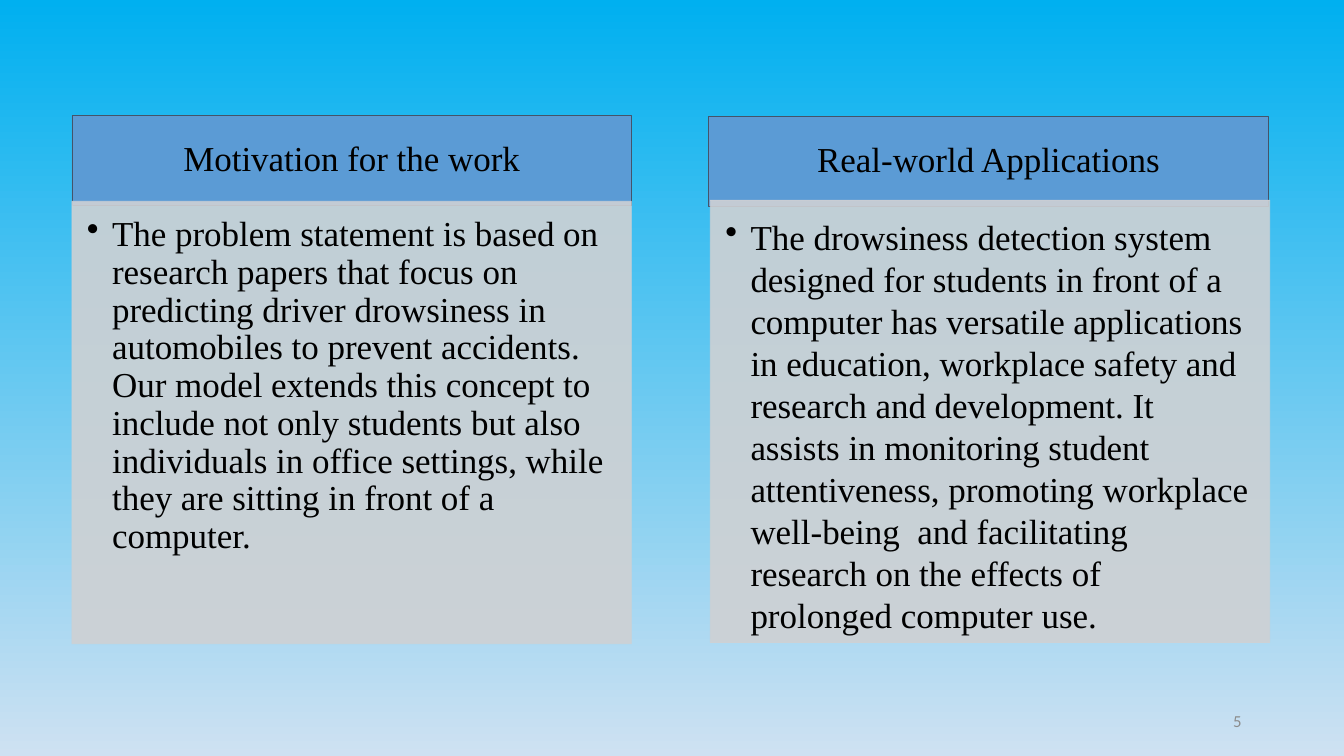
from pptx import Presentation
from pptx.dml.color import RGBColor
from pptx.enum.shapes import MSO_SHAPE
from pptx.enum.text import MSO_ANCHOR, PP_ALIGN
from pptx.oxml.ns import qn
from pptx.util import Pt
from lxml import etree

RECT = MSO_SHAPE.RECTANGLE
TOP, MID = MSO_ANCHOR.TOP, MSO_ANCHOR.MIDDLE
LEFT, MIDDLE, RIGHT = PP_ALIGN.LEFT, PP_ALIGN.CENTER, PP_ALIGN.RIGHT
COLORS = {"sky": "00B0F0", "pale": "CEE1F2", "head": "5B9BD5", "edge": "44546A",
          "body": "CFD1D4", "ink": "000000", "page": "8C8C8C"}


def rgb(name):
    return RGBColor.from_string(COLORS[name])


def write(shape, text, size=25, font="Times New Roman", color="ink", align=LEFT,
          anchor=TOP, pads=(7.2, 3.6, 7.2, 3.6), space=1.0, bullet=False):
    frame = shape.text_frame
    frame.word_wrap = True
    frame.vertical_anchor = anchor
    (frame.margin_left, frame.margin_top,
     frame.margin_right, frame.margin_bottom) = map(Pt, pads)
    para = frame.paragraphs[0]
    para.alignment, para.line_spacing = align, space
    run = para.add_run()
    run.text = text
    run.font.size, run.font.name = Pt(size), font
    run.font.color.rgb = rgb(color)
    if bullet:
        props = para._p.get_or_add_pPr()
        props.set("marL", str(Pt(18)))
        props.set("indent", str(Pt(-18)))
        etree.SubElement(props, qn("a:buChar")).set("char", "•")


deck = Presentation()
deck.slide_width, deck.slide_height = Pt(960), Pt(540)
slide = deck.slides.add_slide(deck.slide_layouts[6])

# Background
back = slide.background.fill
back.gradient()
back.gradient_angle = 270
for stop, name, place in zip(back.gradient_stops, ("sky", "pale"), (0, 1)):
    stop.color.rgb, stop.position = rgb(name), place

# Columns: heading, head left and top, body left and top, line spacing, text
COLS = [
    ("Motivation for the work", 51.4, 82.5, 51.4, 143.8, 0.9,
     "The problem statement is based on research papers that focus on predicting "
     "driver drowsiness in automobiles to prevent accidents. Our model extends this "
     "concept to include not only students but also individuals in office settings, "
     "while they are sitting in front of a computer."),
    ("Real-world Applications", 506.2, 83.3, 507.4, 143, 1.0,
     "The drowsiness detection system designed for students in front of a computer "
     "has versatile applications in education, workplace safety and research and "
     "development. It assists in monitoring student attentiveness, promoting "
     "workplace well-being  and facilitating research on the effects of prolonged "
     "computer use."),
]
for title, hx, hy, bx, by, space, text in COLS:
    head = slide.shapes.add_shape(RECT, Pt(hx), Pt(hy), Pt(399.6), Pt(64))
    body = slide.shapes.add_shape(RECT, Pt(bx), Pt(by), Pt(399.6), Pt(316))
    for box, fill, edge in ((head, "head", "edge"), (body, "body", "body")):
        box.shadow.inherit = False
        box.fill.solid()
        box.fill.fore_color.rgb = rgb(fill)
        box.line.color.rgb = rgb(edge)
        box.line.width = Pt(0.5)
    # Body fill and line at 90% opacity
    for tint in body._element.spPr.iter(qn("a:srgbClr")):
        etree.SubElement(tint, qn("a:alpha")).set("val", "90000")
    write(head, title, align=MIDDLE, anchor=MID, pads=(14, 8, 14, 8), space=0.9)
    write(body, text, pads=(10.7, 10.7, 14, 16), space=space, bullet=True)

# Page number
page = slide.shapes.add_textbox(Pt(678), Pt(500.5), Pt(216), Pt(28.8))
write(page, "5", size=12, font="Calibri", color="page", align=RIGHT, anchor=MID)

deck.save("out.pptx")
